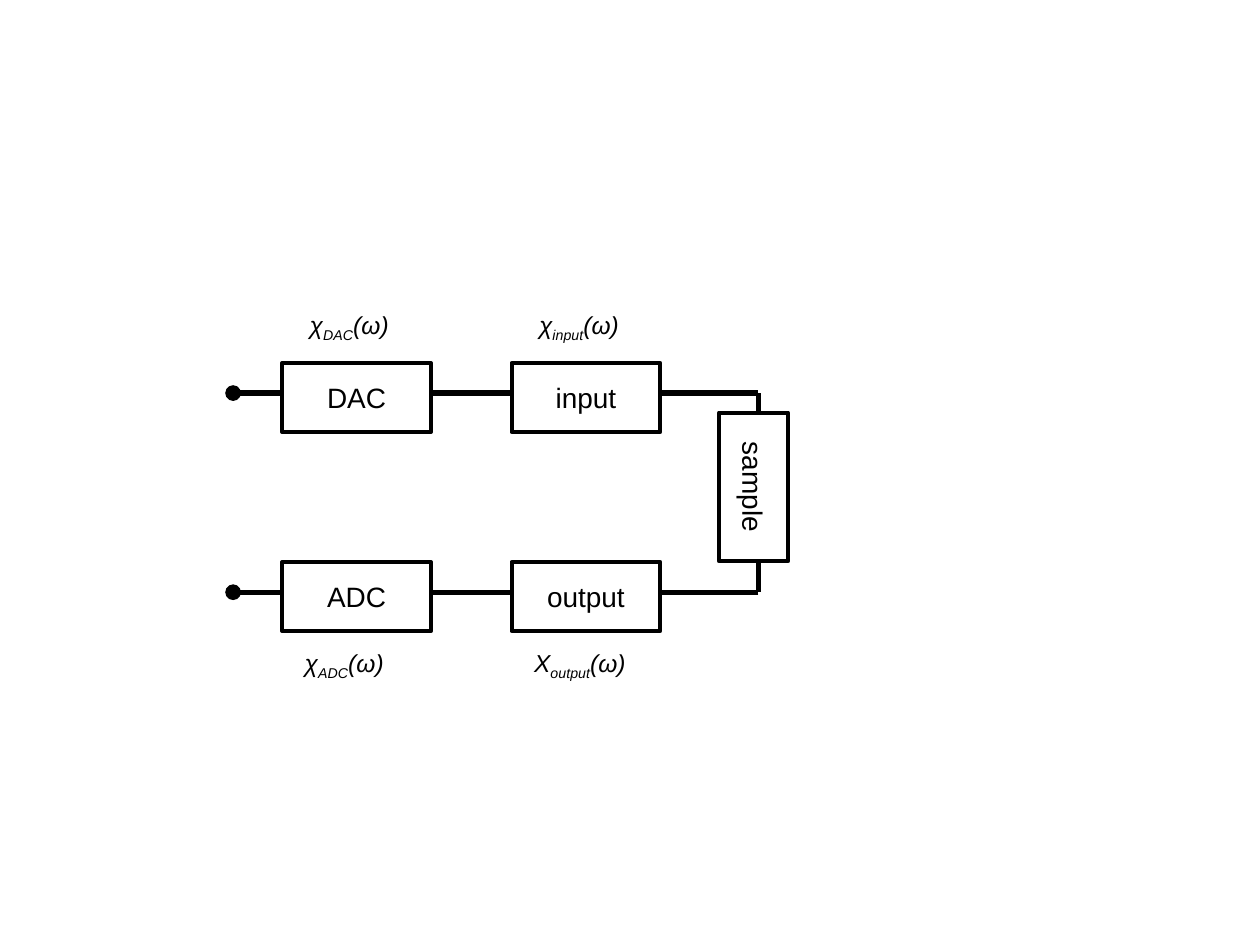
from lxml import etree
from pptx import Presentation
from pptx import util as u
from pptx.dml.color import RGBColor
from pptx.enum import shapes, text
from pptx.oxml import ns

COLORS = {"ink": "000000", "paper": "FFFFFF"}
FONT = "Arial"
COLUMNS = [2.24 + 1.82 * column for column in range(2)]
ROWS = [2.88 + 1.58 * row for row in range(2)]
BOX_WIDTH, BOX_HEIGHT = 1.18, 0.55
WIRE_ROWS = [row + 0.24 for row in ROWS]
WIRE_START, WIRE_END = 1.85, 6.02
LABEL_ROWS = [2.41, 5.09]
LABEL_INDENTS = [0.12, 0.08]
LABEL_HEIGHT = 0.34


def color(name):
    return RGBColor.from_string(COLORS[name])


def add_run(paragraph, words, size, italic=False, baseline=0):
    run = paragraph.add_run()
    run.text = words
    run.font.name = FONT
    run.font.size = u.Pt(size)
    run.font.color.rgb = color("ink")
    if italic:
        run.font.italic = True
    if baseline:
        run.font._element.set("baseline", str(baseline * 1000))


def add_wire(slide, start, end, dot=False):
    points = [u.Inches(value) for value in (*start, *end)]
    wire = slide.shapes.add_connector(shapes.MSO_CONNECTOR.STRAIGHT, *points)
    wire.line.color.rgb = color("ink")
    wire.line.width = u.Pt(3)
    if dot:
        line = wire.line._get_or_add_ln()
        etree.SubElement(line, ns.qn("a:tailEnd"), type="oval")
    etree.SubElement(wire._element.spPr, ns.qn("a:effectLst"))


def add_box(slide, left, top, words, rotation=0):
    position = [u.Inches(value) for value in (left, top, BOX_WIDTH, BOX_HEIGHT)]
    shape = slide.shapes.add_shape(shapes.MSO_SHAPE.RECTANGLE, *position)
    shape.shadow.inherit = False
    shape.rotation = rotation
    shape.fill.solid()
    shape.fill.fore_color.rgb = color("paper")
    shape.line.color.rgb = color("ink")
    shape.line.width = u.Pt(2.25)
    frame = shape.text_frame
    frame.vertical_anchor = text.MSO_ANCHOR.MIDDLE
    paragraph = frame.paragraphs[0]
    paragraph.alignment = text.PP_ALIGN.CENTER
    add_run(paragraph, words, 16)


def add_response_label(slide, left, top, width, symbol, subscript):
    position = [u.Inches(value) for value in (left, top, width, LABEL_HEIGHT)]
    frame = slide.shapes.add_textbox(*position).text_frame
    frame.word_wrap = False
    frame.auto_size = text.MSO_AUTO_SIZE.SHAPE_TO_FIT_TEXT
    paragraph = frame.paragraphs[0]
    for words, baseline in ((symbol, 0), (subscript, -25), ("(ω)", 0)):
        add_run(paragraph, words, 14, italic=True, baseline=baseline)


def main():
    presentation = Presentation()
    presentation.slide_width = u.Inches(10)
    presentation.slide_height = u.Inches(7.5)
    slide = presentation.slides.add_slide(presentation.slide_layouts[6])

    add_wire(slide, (WIRE_END, WIRE_ROWS[0]), (WIRE_END, WIRE_ROWS[1]))
    for wire_row in WIRE_ROWS:
        add_wire(slide, (WIRE_END, wire_row), (WIRE_START, wire_row), dot=True)

    stages = [
        [("DAC", "χ", 0.87), ("input", "χ", 0.88)],
        [("ADC", "χ", 0.87), ("output", "Χ", 0.98)],
    ]
    for row, stage_row in enumerate(stages):
        for left, (name, symbol, width) in zip(COLUMNS, stage_row):
            add_box(slide, left, ROWS[row], name)
            add_response_label(slide, left + LABEL_INDENTS[row], LABEL_ROWS[row],
                               width, symbol, name)
    add_box(slide, 5.39, 3.59, "sample", rotation=90)

    presentation.save("out.pptx")


if __name__ == "__main__":
    main()
